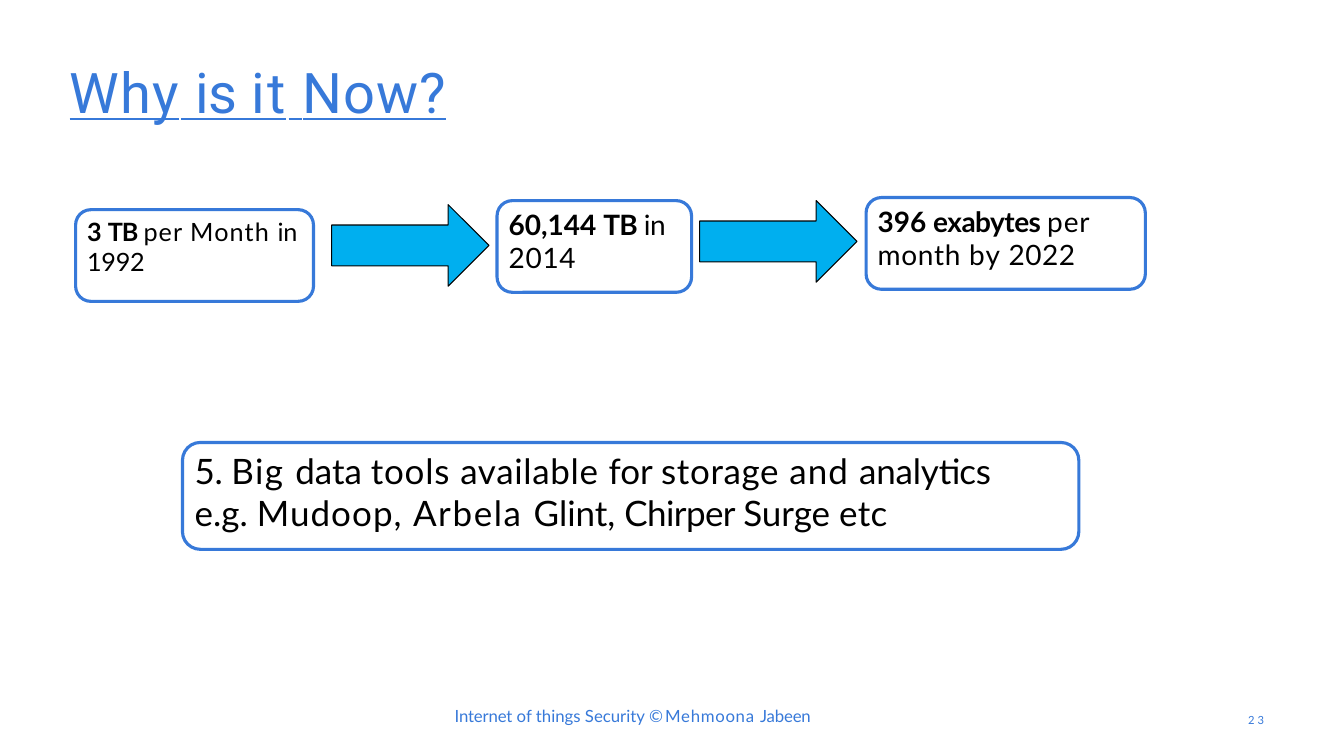
from pptx import Presentation
from pptx.dml.color import RGBColor
from pptx.enum import shapes, text
from pptx.util import Inches, Pt

COLORS = {"blue": "3779D9", "arrow": "00AFEF", "black": "000000"}

# Content: each line is a list of runs (text, letter spacing in points[, bold])
TITLE = [[("Why", 1.1), (" ", -0.1), ("is", 0), (" ", -0.1), ("it", 1.9),
          (" ", 0), ("Now?", 0.8)]]
# Boxes: left, top, width, height, font size, lines
BOXES = [
    (0.75, 2.08, 2.36, 0.91, 18,
     [[("3 ", 0, True), ("TB ", -0.7, True), ("per ", 0.7), ("Month ", 0.8), ("in", -0.2)],
      [("1992", -0.2)]]),
    (4.93, 1.99, 1.93, 0.91, 20,
     [[("60,144 ", 0, True), ("TB ", -0.6, True), ("in", -0.2)],
      [("2014", 0.5)]]),
    (8.59, 1.96, 2.77, 0.91, 20,
     [[("396 ", 0, True), ("exabytes ", -0.4, True), ("per", 0.6)],
      [("month ", 0.5), ("by ", 0.7), ("2022", 0.4)]]),
    (1.81, 4.39, 8.89, 1.06, 25,
     [[("5. ", -0.3), ("Big ", 1.1), ("data ", 0), ("tools ", 0.6), ("available ", 0.5),
       ("for ", 0), ("storage ", 0.5), ("and ", 0.8), ("analytics", -0.1)],
      [("e.g. ", 0), ("Mudoop, ", 0.8), ("Arbela ", 1.2), ("Glint, ", 0),
       ("Chirper ", -0.4), ("Surge ", 0), ("etc", 0.3)]]),
]
ARROWS = [(3.29, 2.03), (6.94, 1.99)]
ARROW_SIZE = (1.56, 0.81)
# Footer texts: left, top, width, height, font size, lines
FOOTERS = [
    (4.5, 6.99, 3.67, 0.23, 12,
     [[("Internet ", -0.1), ("of things Security ", 0), ("© ", -1.6),
       ("Mehmoona ", 0.5), ("Jabeen", -0.1)]]),
    (12.37, 7.07, 0.26, 0.16, 8, [[("2 ", 0), ("3", -0.5)]]),
]


def rgb(name):
    return RGBColor.from_string(COLORS[name])


def write(sp, lines, size, color, font="Lato", inset=(0.01, 0.01), underline=None):
    tf = sp.text_frame
    tf.word_wrap = True
    tf.auto_size = text.MSO_AUTO_SIZE.NONE
    tf.vertical_anchor = text.MSO_ANCHOR.TOP
    tf.margin_left, tf.margin_top = (Inches(v) for v in inset)
    tf.margin_right = tf.margin_bottom = 0
    for i, runs in enumerate(lines):
        p = tf.add_paragraph() if i else tf.paragraphs[0]
        p.alignment = text.PP_ALIGN.LEFT
        p.space_before = Pt(0 if i else 1)
        p.font.name, p.font.size = font, Pt(size)
        p.font.color.rgb = rgb(color)
        p.font.underline = underline
        for words, spacing, *bold in runs:
            r = p.add_run()
            r.text = words
            r.font.bold = bool(bold)
            r._r.get_or_add_rPr().set("spc", str(round(spacing * 100)))


def add_shape(slide, kind, box, line, width, fill=None):
    sp = slide.shapes.add_shape(kind, *map(Inches, box))
    sp.shadow.inherit = False
    sp.line.color.rgb = rgb(line)
    sp.line.width = Pt(width)
    if fill:
        sp.fill.solid()
        sp.fill.fore_color.rgb = rgb(fill)
    else:
        sp.fill.background()
    return sp


def main():
    prs = Presentation()
    prs.slide_width, prs.slide_height = Inches(13.33), Inches(7.5)
    slide = prs.slides.add_slide(prs.slide_layouts[5])

    # Title
    title = slide.shapes.title
    title.left, title.top, title.width, title.height = map(Inches, (0.68, 0.56, 8.91, 0.69))
    write(title, TITLE, 40, "blue", "Roboto", underline=True)

    # Rounded boxes
    for *box, size, lines in BOXES:
        sp = add_shape(slide, shapes.MSO_SHAPE.ROUNDED_RECTANGLE, box, "blue", 2.25)
        write(sp, lines, size, "black", inset=(0.07, 0.02))

    # Arrows between the boxes
    for corner in ARROWS:
        add_shape(slide, shapes.MSO_SHAPE.RIGHT_ARROW, corner + ARROW_SIZE,
                  "black", 0.75, "arrow")

    # Footer and page number
    for *box, size, lines in FOOTERS:
        write(slide.shapes.add_textbox(*map(Inches, box)), lines, size, "blue")

    prs.save("out.pptx")


if __name__ == "__main__":
    main()
